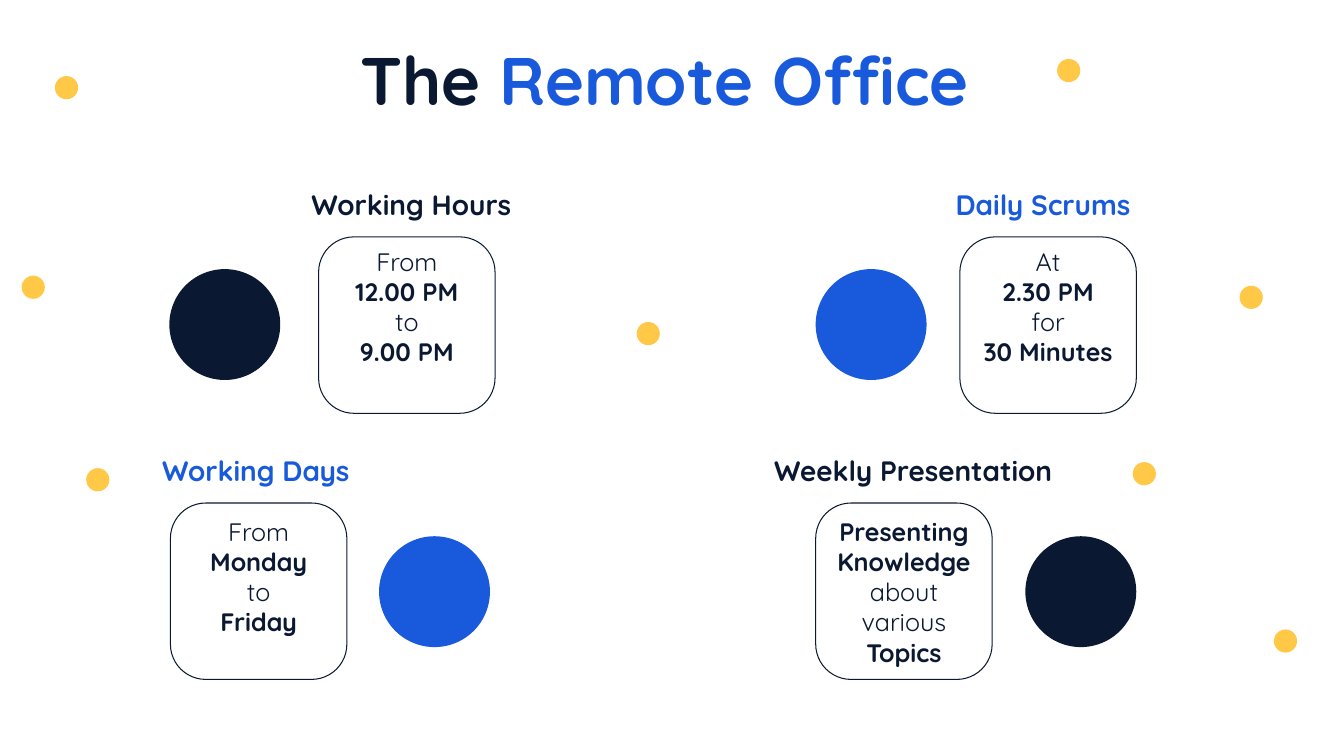
import pptx
import pptx.dml.color
import pptx.enum.shapes
import pptx.enum.text
import pptx.util
from pptx.util import Inches

FONT = "Quicksand"
COLORS = {"navy": "0A1931", "blue": "185ADB", "yellow": "FFC947"}
DOT_SIZE = 0.23
CIRCLE_SIZE = 1.1
CARD_SIZE = 1.75

DOT_CENTERS = [
    (6.43, 3.31), (0.33, 2.85), (0.66, 0.87), (0.97, 4.76),
    (12.41, 2.95), (11.35, 4.7), (10.6, 0.7), (12.75, 6.36),
]

# Each card paragraph is a list of (text, bold) runs.
TOPICS = [
    {"heading": "Working Hours", "color": "navy", "heading_box": (2.99, 1.81, 2.47),
     "circle": (2.23, 3.22), "card": (3.16, 2.35), "text_top": 2.39,
     "body": [[("From", False)], [("12.00 PM", True)], [("to", False)], [("9.00 PM", True)]]},
    {"heading": "Daily Scrums", "color": "blue", "heading_box": (9.38, 1.81, 2.09),
     "circle": (8.64, 3.22), "card": (9.52, 2.35), "text_top": 2.39,
     "body": [[("At", False)], [("2.30 PM", True)], [("for", False)], [("30 Minutes", True)]]},
    {"heading": "Working Days", "color": "blue", "heading_box": (1.51, 4.45, 2.09),
     "circle": (4.31, 5.87), "card": (1.69, 4.99), "text_top": 5.07,
     "body": [[("From ", False), ("Monday", True)], [("to", False)], [("Friday", True)]]},
    {"heading": "Weekly Presentation", "color": "navy", "heading_box": (7.58, 4.45, 3.25),
     "circle": (10.72, 5.87), "card": (8.09, 4.99), "text_top": 5.07,
     "body": [[("Presenting Knowledge ", True), ("about various ", False), ("Topics", True)]]},
]


def rgb(color):
    return pptx.dml.color.RGBColor.from_string(COLORS[color])


def add_circle(slide, center, diameter, color):
    left, top = (Inches(value - diameter / 2) for value in center)
    shape = slide.shapes.add_shape(
        pptx.enum.shapes.MSO_SHAPE.OVAL, left, top, Inches(diameter), Inches(diameter))
    shape.shadow.inherit = False
    shape.fill.solid()
    shape.fill.fore_color.rgb = rgb(color)
    shape.line.fill.background()


def add_card(slide, left, top):
    shape = slide.shapes.add_shape(
        pptx.enum.shapes.MSO_SHAPE.ROUNDED_RECTANGLE,
        Inches(left), Inches(top), Inches(CARD_SIZE), Inches(CARD_SIZE))
    shape.adjustments[0] = 0.2
    shape.shadow.inherit = False
    shape.fill.background()
    shape.line.color.rgb = rgb("navy")
    shape.line.width = pptx.util.Pt(0.75)


def add_text(slide, box, paragraphs, size, centered=True):
    """Add a text box; each paragraph is a list of (text, bold, color) runs."""
    text_frame = slide.shapes.add_textbox(*(Inches(value) for value in box)).text_frame
    text_frame.word_wrap = True
    for index, runs in enumerate(paragraphs):
        paragraph = text_frame.add_paragraph() if index else text_frame.paragraphs[0]
        if centered:
            paragraph.alignment = pptx.enum.text.PP_ALIGN.CENTER
        for text, bold, color in runs:
            run = paragraph.add_run()
            run.text = text
            run.font.name = FONT
            run.font.size = pptx.util.Pt(size)
            run.font.bold = bold
            run.font.color.rgb = rgb(color)


def add_topic(slide, topic):
    add_circle(slide, topic["circle"], CIRCLE_SIZE, topic["color"])
    add_text(slide, (*topic["heading_box"], 0.44),
             [[(topic["heading"], True, topic["color"])]], 20, centered=False)
    left, top = topic["card"]
    add_card(slide, left, top)
    body = [[(text, bold, "navy") for text, bold in runs] for runs in topic["body"]]
    add_text(slide, (left + 0.08, topic["text_top"], 1.59, 1.62), body, 18)


def main():
    presentation = pptx.Presentation()
    presentation.slide_width = Inches(13.33)
    presentation.slide_height = Inches(7.5)
    slide = presentation.slides.add_slide(presentation.slide_layouts[6])
    add_text(slide, (2.45, 0.33, 8.28, 0.91),
             [[("The", True, "navy"), (" Remote Office", True, "blue")]], 48)
    for center in DOT_CENTERS:
        add_circle(slide, center, DOT_SIZE, "yellow")
    for topic in TOPICS:
        add_topic(slide, topic)
    presentation.save("out.pptx")


if __name__ == "__main__":
    main()
